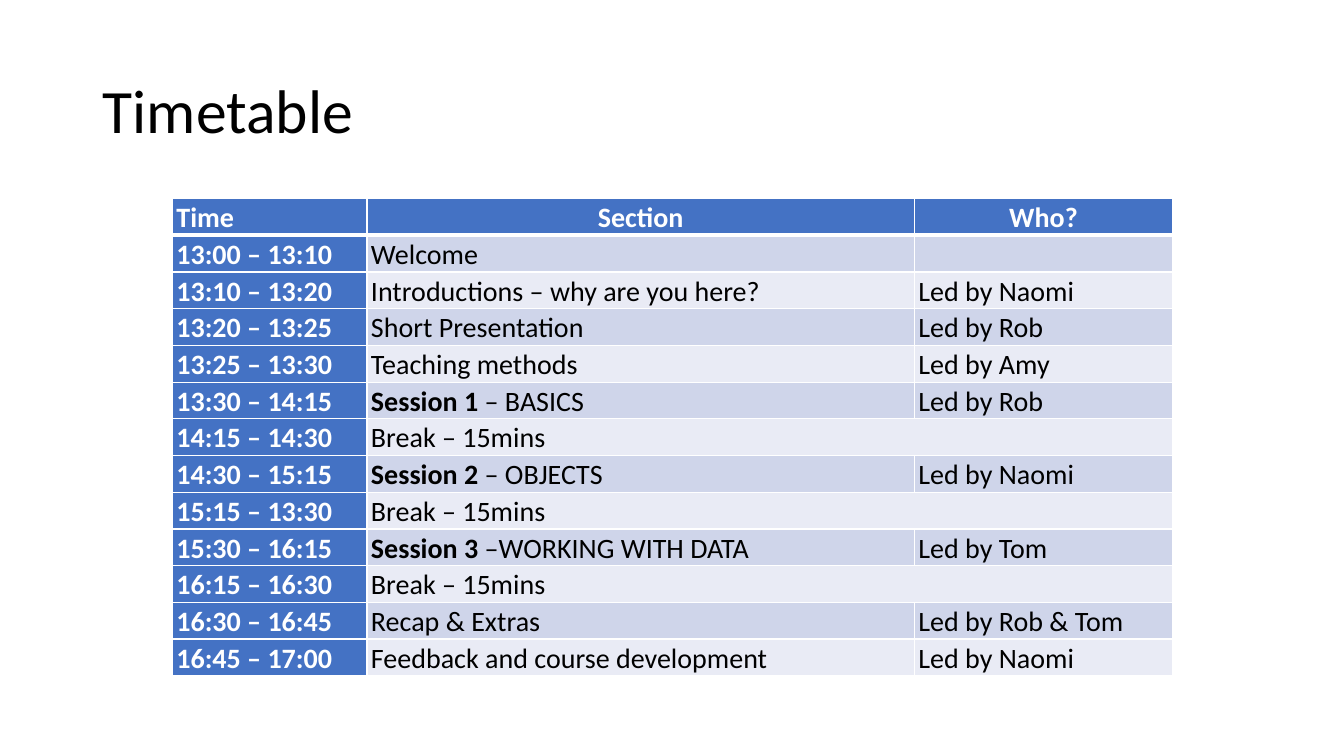
from lxml import etree
from pptx import Presentation
from pptx.dml.color import RGBColor
from pptx.enum.text import MSO_ANCHOR, PP_ALIGN
from pptx.oxml.ns import qn
from pptx.util import Inches, Pt

LEFT, CENTER = PP_ALIGN.LEFT, PP_ALIGN.CENTER
TOP, MIDDLE = MSO_ANCHOR.TOP, MSO_ANCHOR.MIDDLE
WHITE = RGBColor(0xFF, 0xFF, 0xFF)
BLACK = RGBColor(0x00, 0x00, 0x00)
BLUE = RGBColor(0x44, 0x72, 0xC4)
BANDS = (RGBColor(0xE9, 0xEB, 0xF5), RGBColor(0xCF, 0xD5, 0xEA))
FONT = "Calibri"

TITLE = "Timetable"
HEADER = ("Time", "", "Section", "Who?")
BREAK = "Break – 15mins"
SESSIONS = [
    ("13:00 – 13:10", "", "Welcome", ""),
    ("13:10 – 13:20", "", "Introductions – why are you here?", "Led by Naomi"),
    ("13:20 – 13:25", "", "Short Presentation", "Led by Rob"),
    ("13:25 – 13:30", "", "Teaching methods", "Led by Amy"),
    ("13:30 – 14:15", "Session 1 ", "– BASICS", "Led by Rob"),
    ("14:15 – 14:30", "", BREAK, ""),
    ("14:30 – 15:15", "Session 2 ", "– OBJECTS", "Led by Naomi"),
    ("15:15 – 13:30", "", BREAK, ""),
    ("15:30 – 16:15", "Session 3", " –WORKING WITH DATA", "Led by Tom"),
    ("16:15 – 16:30", "", BREAK, ""),
    ("16:30 – 16:45", "", "Recap & Extras", "Led by Rob & Tom"),
    ("16:45 – 17:00", "", "Feedback and course development", "Led by Naomi"),
]
ROWS = [HEADER] + SESSIONS
COLUMN_WIDTHS = (1.93, 5.43, 2.56)
ROW_HEIGHT = 0.36
TABLE_LEFT, TABLE_TOP = 1.71, 1.97


def write_text(frame, text, lead="", size=20, color=BLACK, bold=False,
               align=LEFT, spacing=1.07):
    paragraph = frame.paragraphs[0]
    paragraph.alignment = align
    paragraph.line_spacing = spacing
    for words, weight in ((lead, True), (text, bold)):
        if words:
            run = paragraph.add_run()
            run.text = words
            run.font.name = FONT
            run.font.size = Pt(size)
            run.font.bold = weight
            run.font.color.rgb = color


def add_borders(cell, top, bottom):
    properties = cell._tc.get_or_add_tcPr()
    for side, width in (("L", 1), ("R", 1), ("T", top), ("B", bottom)):
        line = etree.SubElement(properties, qn(f"a:ln{side}"), w=str(Pt(width)))
        fill = etree.SubElement(line, qn("a:solidFill"))
        etree.SubElement(fill, qn("a:srgbClr"), val=str(WHITE))


def fill_cell(cell, row, column, text, lead):
    is_header, is_label = row == 0, row == 0 or column == 0
    cell.margin_left = cell.margin_right = Inches(0.04)
    cell.margin_top = cell.margin_bottom = 0
    cell.vertical_anchor = MIDDLE if not is_label and (column == 2 or text == BREAK) else TOP
    add_borders(cell, 3 if row == 1 else 1, 3 if is_header else 1)
    cell.fill.solid()
    cell.fill.fore_color.rgb = BLUE if is_label else BANDS[row % 2]
    write_text(cell.text_frame, text, lead, bold=is_label,
               color=WHITE if is_label else BLACK,
               align=CENTER if is_header and column else LEFT)


def add_timetable(slide):
    table = slide.shapes.add_table(
        len(ROWS), len(COLUMN_WIDTHS), Inches(TABLE_LEFT), Inches(TABLE_TOP),
        Inches(sum(COLUMN_WIDTHS)), Inches(ROW_HEIGHT * len(ROWS))).table
    table.first_col = True
    for column, width in zip(table.columns, COLUMN_WIDTHS):
        column.width = Inches(width)
    for row, (time, lead, section, who) in enumerate(ROWS):
        table.rows[row].height = Inches(ROW_HEIGHT)
        for column, text in enumerate((time, section, who)):
            fill_cell(table.cell(row, column), row, column, text,
                      lead if column == 1 else "")
        if section == BREAK:
            table.cell(row, 1).merge(table.cell(row, 2))


def main():
    presentation = Presentation()
    presentation.slide_width, presentation.slide_height = Inches(13.33), Inches(7.5)
    slide = presentation.slides.add_slide(presentation.slide_layouts[5])
    title = slide.shapes.title
    title.left, title.top = Inches(0.92), Inches(0.4)
    title.width, title.height = Inches(11.5), Inches(1.45)
    title.text_frame.vertical_anchor = MIDDLE
    write_text(title.text_frame, TITLE, size=44, spacing=0.9)
    add_timetable(slide)
    presentation.save("out.pptx")


if __name__ == "__main__":
    main()
